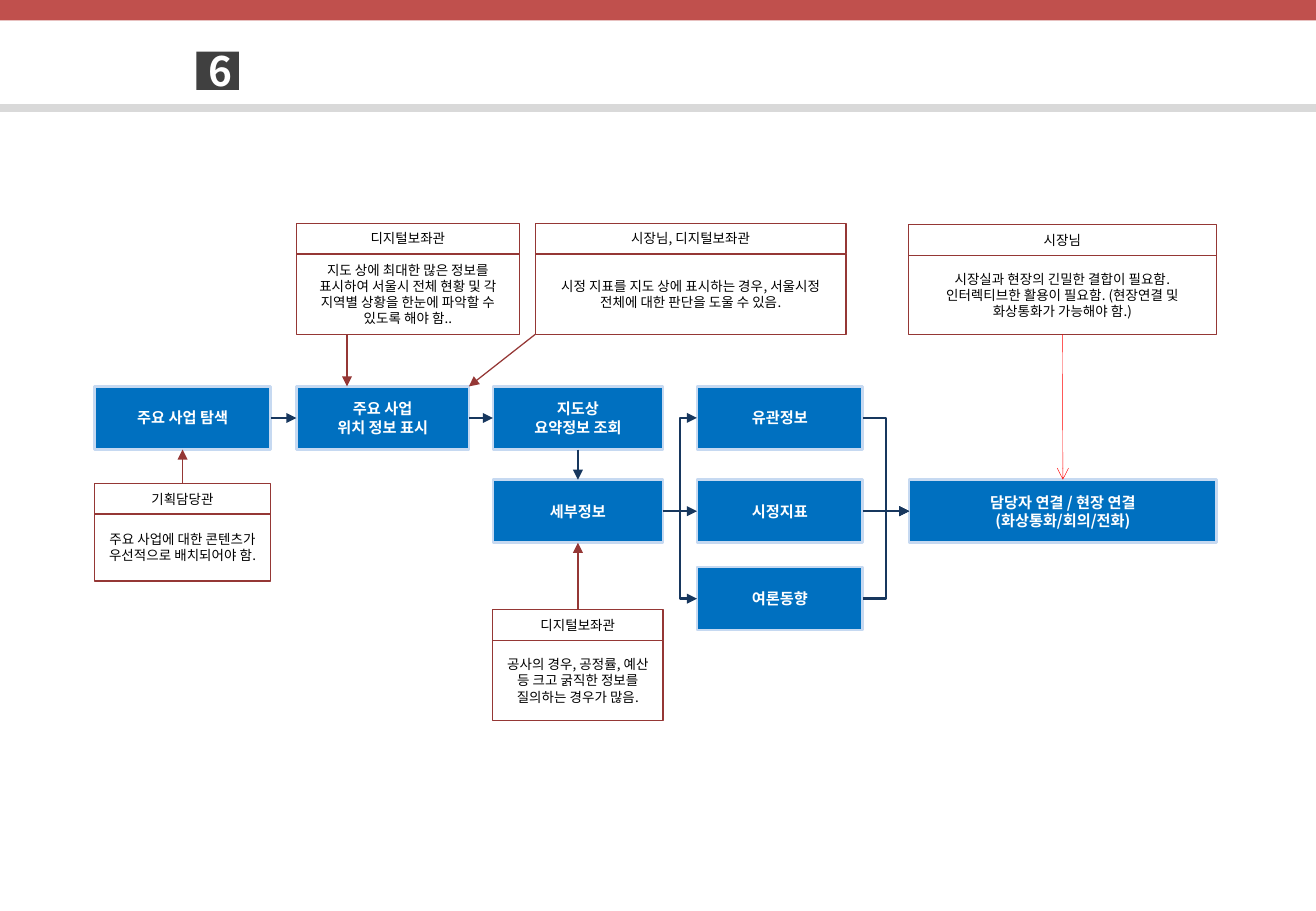
import pptx
import pptx.util
import pptx.dml.color
import pptx.enum.shapes
import pptx.enum.text
import pptx.oxml
import pptx.oxml.ns
from dataclasses import dataclass

Cm, Pt = pptx.util.Cm, pptx.util.Pt
RECT = pptx.enum.shapes.MSO_SHAPE.RECTANGLE
LINE = pptx.enum.shapes.MSO_CONNECTOR.STRAIGHT
ELBOW = pptx.enum.shapes.MSO_CONNECTOR.ELBOW
qn = pptx.oxml.ns.qn
TOP, LEFT, BOTTOM, RIGHT = range(4)


@dataclass(frozen=True)
class Theme:
    font: str = "Noto Sans CJK KR"
    white: str = "FFFFFF"
    black: str = "000000"
    band: str = "C0504D"
    rule: str = "D9D9D9"
    badge: str = "404040"
    step: str = "0070C0"
    step_edge: str = "C6D9F1"
    flow: str = "17375E"
    note: str = "953735"
    link: str = "FF0000"
    title_size: float = 24
    step_size: float = 9
    note_size: float = 8


T = Theme()
STEP_H = 1.32
HEAD_H = 0.64
COLUMNS = [(1.98, 3.68), (6.2, 3.61), (10.31, 3.56), (14.58, 3.47), (19.02, 6.43)]
ROWS = [8.08, 10.03, 11.86]

STEPS = {
    "search": (0, 0, ["주요 사업 탐색"]),
    "locate": (1, 0, ["주요 사업", "위치 정보 표시"]),
    "summary": (2, 0, ["지도상", "요약정보 조회"]),
    "detail": (2, 1, ["세부정보"]),
    "related": (3, 0, ["유관정보"]),
    "index": (3, 1, ["시정지표"]),
    "opinion": (3, 2, ["여론동향"]),
    "contact": (4, 1, ["담당자 연결 / 현장 연결", "(화상통화/회의/전화)"]),
}

NOTES = {
    "map": (6.2, 4.67, 4.67, 2.32, "디지털보좌관",
            ["지도 상에 최대한 많은 정보를 표시하여 서울시 전체 현황 및 각 지역별 상황을 한눈에 파악할 수 있도록 해야 함.."]),
    "judge": (11.2, 4.67, 6.5, 2.32, "시장님, 디지털보좌관",
              ["시정 지표를 지도 상에 표시하는 경우, 서울시정 전체에 대한 판단을 도울 수 있음."]),
    "mayor": (19.0, 4.7, 6.45, 2.29, "시장님",
              ["시장실과 현장의 긴밀한 결합이 필요함.",
               "인터렉티브한 활용이 필요함. (현장연결 및 화상통화가 가능해야 함.)"]),
    "plan": (1.98, 10.11, 3.68, 2.04, "기획담당관",
             ["주요 사업에 대한 콘텐츠가 우선적으로 배치되어야 함."]),
    "query": (10.31, 12.75, 3.56, 2.32, "디지털보좌관",
              ["공사의 경우, 공정률, 예산 등 크고 굵직한 정보를 질의하는 경우가 많음."]),
}

FLOWS = [
    (LINE, "search", RIGHT, "locate", LEFT),
    (LINE, "locate", RIGHT, "summary", LEFT),
    (LINE, "summary", BOTTOM, "detail", TOP),
    (ELBOW, "detail", RIGHT, "related", LEFT),
    (LINE, "detail", RIGHT, "index", LEFT),
    (ELBOW, "detail", RIGHT, "opinion", LEFT),
    (ELBOW, "related", RIGHT, "contact", LEFT),
    (LINE, "index", RIGHT, "contact", LEFT),
    (ELBOW, "opinion", RIGHT, "contact", LEFT),
]


def rgb(value):
    return pptx.dml.color.RGBColor.from_string(value)


def write(sp, lines, size, color, bold=False):
    tf = sp.text_frame
    tf.word_wrap = True
    tf.auto_size = pptx.enum.text.MSO_AUTO_SIZE.NONE
    tf.vertical_anchor = pptx.enum.text.MSO_ANCHOR.MIDDLE
    for i, line in enumerate(lines):
        p = tf.add_paragraph() if i else tf.paragraphs[0]
        p.text = line
        p.alignment = pptx.enum.text.PP_ALIGN.CENTER
        p.font.size = Pt(size)
        p.font.bold = bold
        p.font.color.rgb = rgb(color)
        p.font.name = T.font
        props = p._p.pPr.find(qn("a:defRPr"))
        pptx.oxml.ns and props.append(props.makeelement(qn("a:ea"), {"typeface": T.font}))


def rect(slide, x, y, w, h, fill=None, edge=None, weight=0.75):
    sp = slide.shapes.add_shape(RECT, Cm(x), Cm(y), Cm(w), Cm(h))
    sp.shadow.inherit = False
    if fill:
        sp.fill.solid()
        sp.fill.fore_color.rgb = rgb(fill)
    else:
        sp.fill.background()
    if edge:
        sp.line.color.rgb = rgb(edge)
        sp.line.width = Pt(weight)
    else:
        sp.line.fill.background()
    return sp


def connector(slide, kind, color, weight, head=None, ends=(0, 0, 0, 0)):
    cx = slide.shapes.add_connector(kind, *(Cm(v) for v in ends))
    cx.line.color.rgb = rgb(color)
    cx.line.width = Pt(weight)
    if head:
        ln = cx.line._get_or_add_ln()
        ln.append(ln.makeelement(qn("a:tailEnd"), {"type": head}))
    props = cx._element.spPr
    props.append(props.makeelement(qn("a:effectLst"), {}))
    return cx


def join(slide, kind, start, start_side, end, end_side, color, weight, head="triangle"):
    cx = connector(slide, kind, color, weight, head)
    cx.begin_connect(start, start_side)
    cx.end_connect(end, end_side)


def header(slide, x, y, w, h):
    rect(slide, x, y, w, 0.43, T.band)
    connector(slide, LINE, T.rule, 4.5, ends=(x, y + h, x + w, y + h))
    title = slide.shapes.title
    title.left, title.top, title.width, title.height = Cm(x + 4.11), Cm(y + 1.08), Cm(0.89), Cm(0.8)
    title.fill.solid()
    title.fill.fore_color.rgb = rgb(T.badge)
    write(title, ["6"], T.title_size, T.white, True)


def step(slide, column, row, lines):
    x, w = COLUMNS[column]
    sp = rect(slide, x, ROWS[row], w, STEP_H, T.step, T.step_edge, 1.5)
    write(sp, lines, T.step_size, T.white, True)
    return sp


def note(slide, x, y, w, h, who, lines):
    head = rect(slide, x, y, w, HEAD_H, edge=T.note)
    body = rect(slide, x, y + HEAD_H, w, h - HEAD_H, edge=T.note)
    write(head, [who], T.note_size, T.black)
    write(body, lines, T.note_size, T.black)
    return head, body


def diagram(slide):
    steps = {name: step(slide, *args) for name, args in STEPS.items()}
    notes = {name: note(slide, *args) for name, args in NOTES.items()}
    for kind, start, start_side, end, end_side in FLOWS:
        join(slide, kind, steps[start], start_side, steps[end], end_side, T.flow, 1.5)
    for name, target in (("plan", "search"), ("query", "detail")):
        join(slide, LINE, notes[name][0], TOP, steps[target], BOTTOM, T.note, 0.75)
    join(slide, LINE, notes["mayor"][1], BOTTOM, steps["contact"], TOP, T.link, 0.25, "arrow")
    x, w = COLUMNS[1]
    note_x, note_y, _, note_h = NOTES["judge"][:4]
    base = note_y + note_h
    connector(slide, LINE, T.note, 0.75, "triangle", (x + 1.06, base, x + 1.06, ROWS[0]))
    connector(slide, LINE, T.note, 0.75, "triangle", (note_x, base, x + w, ROWS[0]))


def main():
    prs = pptx.Presentation()
    prs.slide_width, prs.slide_height = Cm(27.53), Cm(19.05)
    slide = prs.slides.add_slide(prs.slide_layouts[5])
    header(slide, 0, 0, 27.53, 2.26)
    diagram(slide)
    prs.save("out.pptx")


if __name__ == "__main__":
    main()
